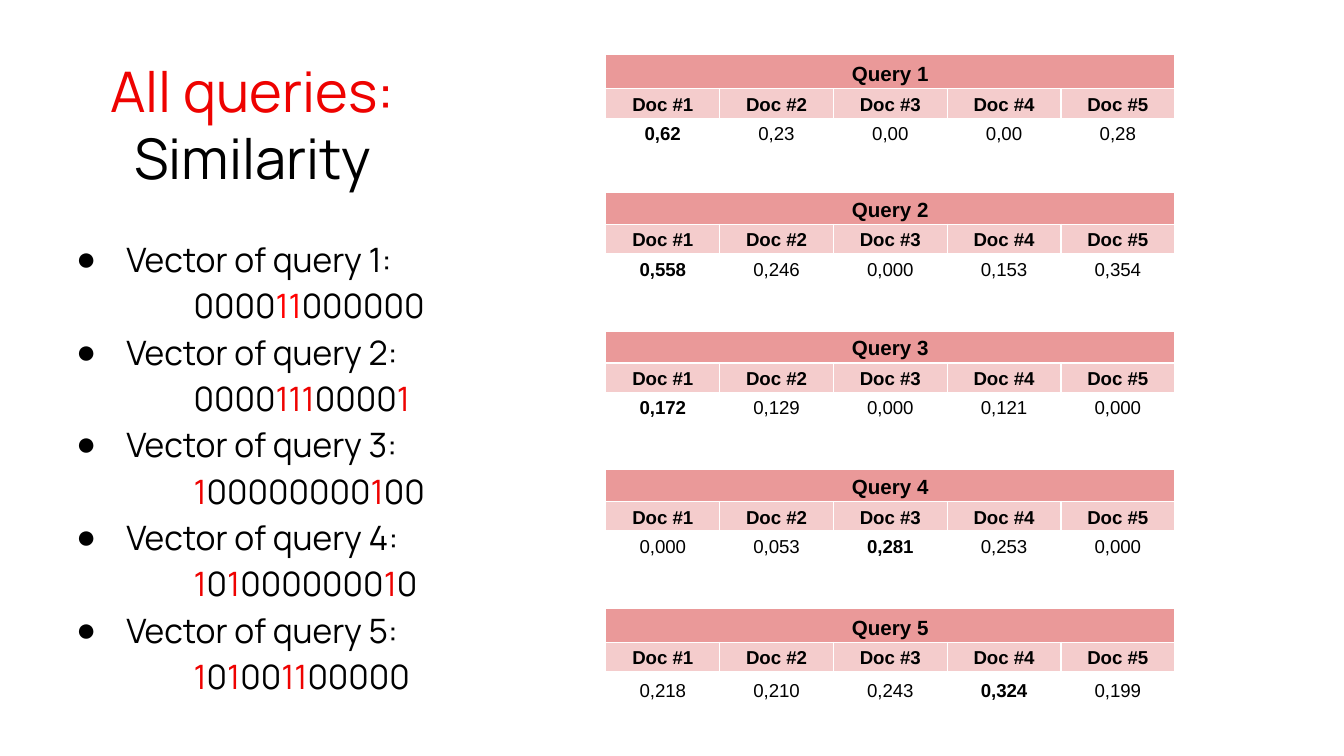
from itertools import groupby

from lxml import etree
from pptx import Presentation
from pptx.dml.color import RGBColor
from pptx.enum.text import MSO_ANCHOR, MSO_AUTO_SIZE, PP_ALIGN
from pptx.oxml.ns import qn
from pptx.util import Cm, Pt

CENTER = PP_ALIGN.CENTER
LEFT = PP_ALIGN.LEFT
TOP = MSO_ANCHOR.TOP
BOTTOM = MSO_ANCHOR.BOTTOM
NO_AUTOFIT = MSO_AUTO_SIZE.NONE

BLACK = RGBColor(0x00, 0x00, 0x00)
WHITE = RGBColor(0xFF, 0xFF, 0xFF)
RED = RGBColor(0xEE, 0x02, 0x00)
BRIGHT_RED = RGBColor(0xFF, 0x00, 0x00)
ROSE = RGBColor(0xEA, 0x99, 0x99)
PALE_ROSE = RGBColor(0xF4, 0xCC, 0xCC)

TEXT_FONT = "Manrope"
TABLE_FONT = "Arial"
TITLE_ONLY = 5

TABLE_LEFT, TABLE_TOP, TABLE_STEP = 11.45, 1.02, 2.62
TABLE_SIZE = 8.33
COLUMN_WIDTH, ROW_HEIGHT = 2.15, 0.55

VECTORS = [
    ("000011000000", BRIGHT_RED),
    ("000011100001", RED),
    ("100000000100", RED),
    ("101000000010", RED),
    ("101001100000", RED),
]

SIMILARITIES = [
    (["0,62", "0,23", "0,00", "0,00", "0,28"], 0.66, 0.41),
    (["0,558", "0,246", "0,000", "0,153", "0,354"], 0.58, ROW_HEIGHT),
    (["0,172", "0,129", "0,000", "0,121", "0,000"], 0.6, ROW_HEIGHT),
    (["0,000", "0,053", "0,281", "0,253", "0,000"], 0.6, ROW_HEIGHT),
    (["0,218", "0,210", "0,243", "0,324", "0,199"], 0.64, 0.61),
]


def add_span(para, text, size, color, font=TEXT_FONT, bold=False):
    span = para.add_run()
    span.text = text
    span.font.name = font
    span.font.size = Pt(size)
    span.font.bold = bold
    span.font.color.rgb = color


def format_frame(frame, anchor):
    frame.word_wrap = True
    frame.auto_size = NO_AUTOFIT
    frame.vertical_anchor = anchor
    frame.margin_left = frame.margin_right = Cm(0.25)
    frame.margin_top = frame.margin_bottom = Cm(0.25)


def fill_title(title):
    title.left, title.top = Cm(0.87), Cm(1.75)
    title.width, title.height = Cm(7.8), Cm(2.11)
    format_frame(title.text_frame, BOTTOM)
    para = title.text_frame.paragraphs[0]
    para.alignment = CENTER
    add_span(para, "All queries: ", 30, RED)
    add_span(para, "Similarity", 30, BLACK)


def indent_para(para, margin, indent):
    properties = para._p.get_or_add_pPr()
    properties.set("marL", str(Cm(margin)))
    properties.set("indent", str(Cm(indent)))
    para.alignment = LEFT
    para.line_spacing = 1.15
    return properties


def add_bullet(para):
    properties = indent_para(para, 1.27, -0.95)
    color = etree.SubElement(properties, qn("a:buClr"))
    etree.SubElement(color, qn("a:srgbClr"), val=str(BLACK))
    etree.SubElement(properties, qn("a:buFont"), typeface=TABLE_FONT)
    etree.SubElement(properties, qn("a:buChar"), char="●")


def add_vectors(page):
    box = page.shapes.add_textbox(Cm(0.87), Cm(4.15), Cm(10.41), Cm(9.25))
    frame = box.text_frame
    format_frame(frame, TOP)
    for number, (digits, accent) in enumerate(VECTORS, 1):
        heading = frame.paragraphs[0] if number == 1 else frame.add_paragraph()
        add_bullet(heading)
        add_span(heading, f"Vector of query {number}:", 18, BLACK)
        vector = frame.add_paragraph()
        indent_para(vector, 2.54, 0)
        for digit, group in groupby(digits):
            color = accent if digit == "1" else BLACK
            add_span(vector, "".join(group), 18, color)


def add_borders(cell):
    properties = cell._tc.get_or_add_tcPr()
    for side in ("lnL", "lnR", "lnT", "lnB"):
        line = etree.SubElement(properties, qn(f"a:{side}"), w=str(Pt(0.75)))
        fill = etree.SubElement(line, qn("a:solidFill"))
        etree.SubElement(fill, qn("a:srgbClr"), val=str(WHITE))


def format_cell(cell, fill_color):
    add_borders(cell)
    if fill_color is None:
        cell.fill.background()
    else:
        cell.fill.solid()
        cell.fill.fore_color.rgb = fill_color
    cell.vertical_anchor = BOTTOM
    cell.margin_left = cell.margin_right = Cm(0.08)
    cell.margin_top = cell.margin_bottom = Cm(0.05)


def write_cell(cell, text, size, bold):
    para = cell.text_frame.paragraphs[0]
    para.alignment = CENTER
    para.line_spacing = 1.15
    add_span(para, text, size, BLACK, TABLE_FONT, bold)


def add_similarity_table(page, index, values, header_height, value_height):
    count = len(values)
    heights = [header_height, ROW_HEIGHT, value_height]
    holder = page.shapes.add_table(
        3, count, Cm(TABLE_LEFT), Cm(TABLE_TOP + index * TABLE_STEP),
        Cm(TABLE_SIZE), Cm(TABLE_SIZE))
    table = holder.table
    table.first_row = False
    table.horz_banding = False
    for column in table.columns:
        column.width = Cm(COLUMN_WIDTH)
    for row, height, color in zip(table.rows, heights, (ROSE, PALE_ROSE, None)):
        row.height = Cm(height)
        for cell in row.cells:
            format_cell(cell, color)
    holder.width = holder.height = Cm(TABLE_SIZE)
    table.cell(0, 0).merge(table.cell(0, count - 1))
    write_cell(table.cell(0, 0), f"Query {index + 1}", 11, True)
    best = max(values)
    for column, value in enumerate(values):
        write_cell(table.cell(1, column), f"Doc #{column + 1}", 10, True)
        write_cell(table.cell(2, column), value, 10, value == best)


def main():
    deck = Presentation()
    deck.slide_width, deck.slide_height = Cm(25.4), Cm(14.29)
    page = deck.slides.add_slide(deck.slide_layouts[TITLE_ONLY])
    fill_title(page.shapes.title)
    add_vectors(page)
    for index, similarity in enumerate(SIMILARITIES):
        add_similarity_table(page, index, *similarity)
    deck.save("out.pptx")


if __name__ == "__main__":
    main()
